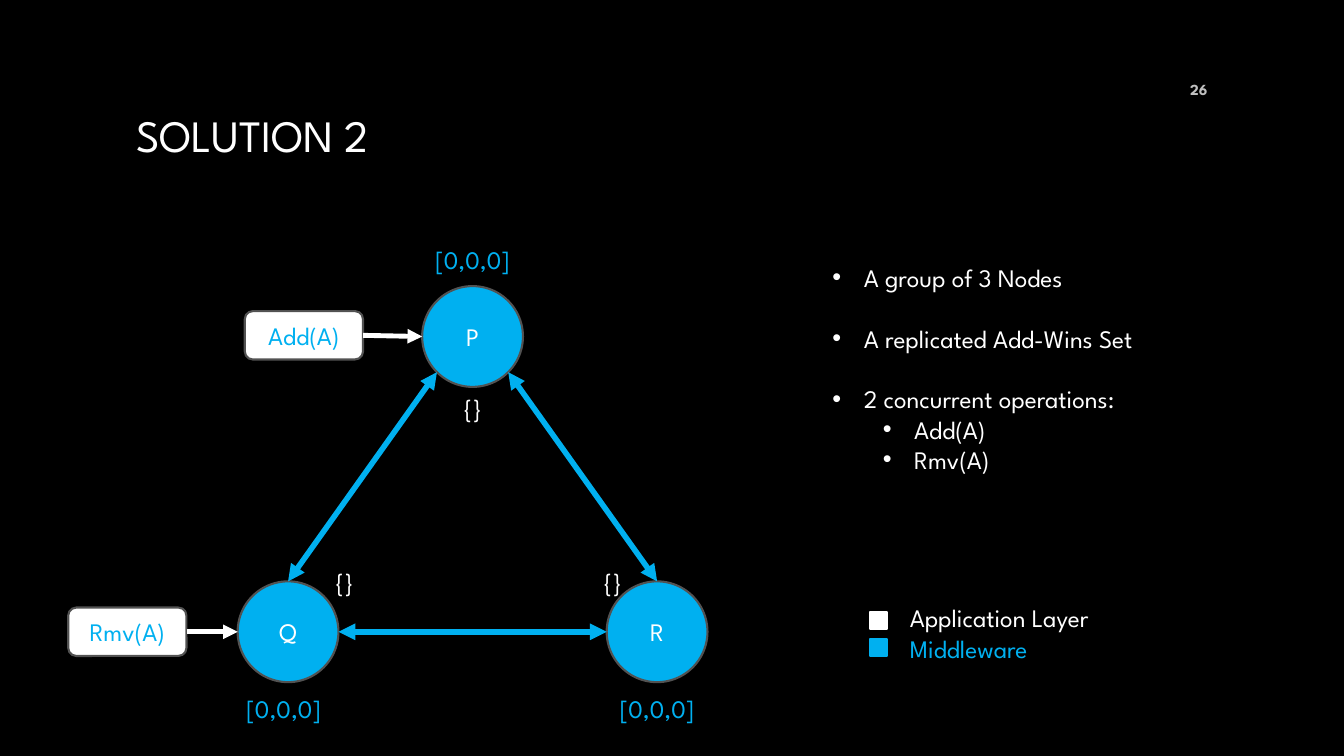
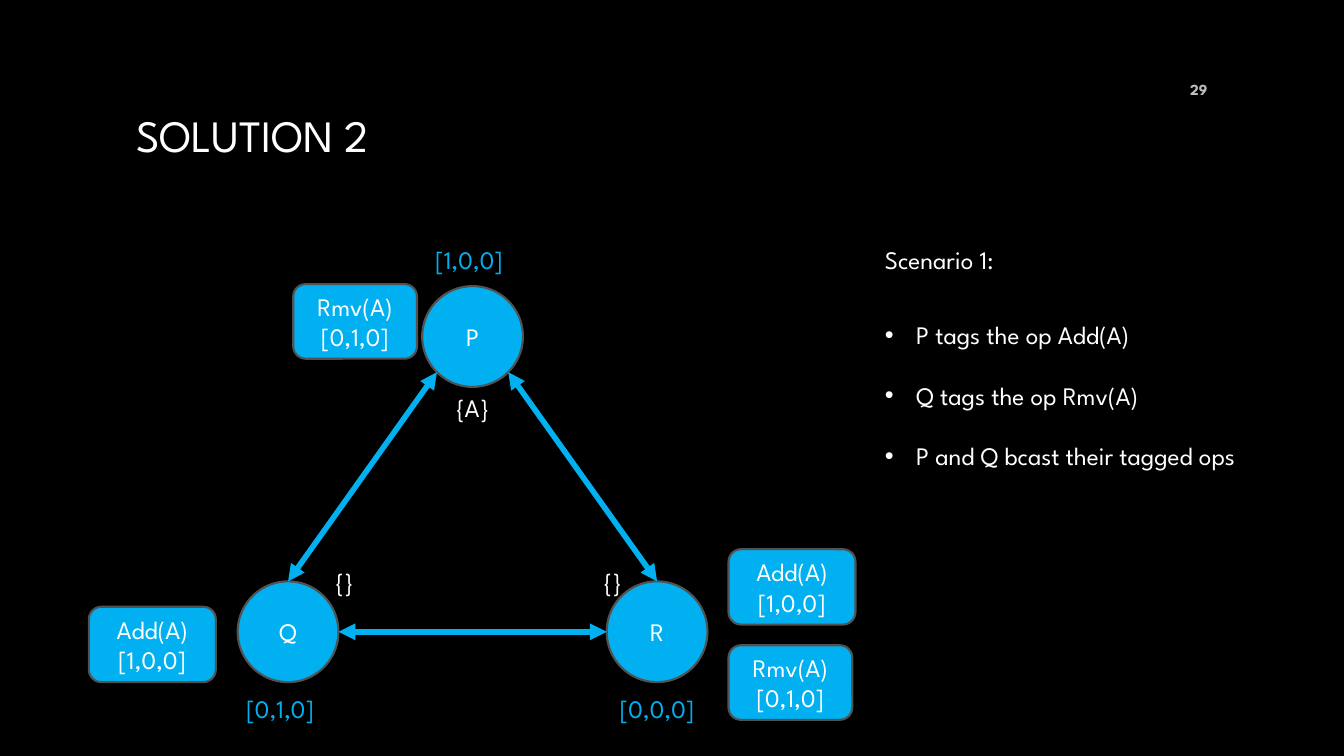
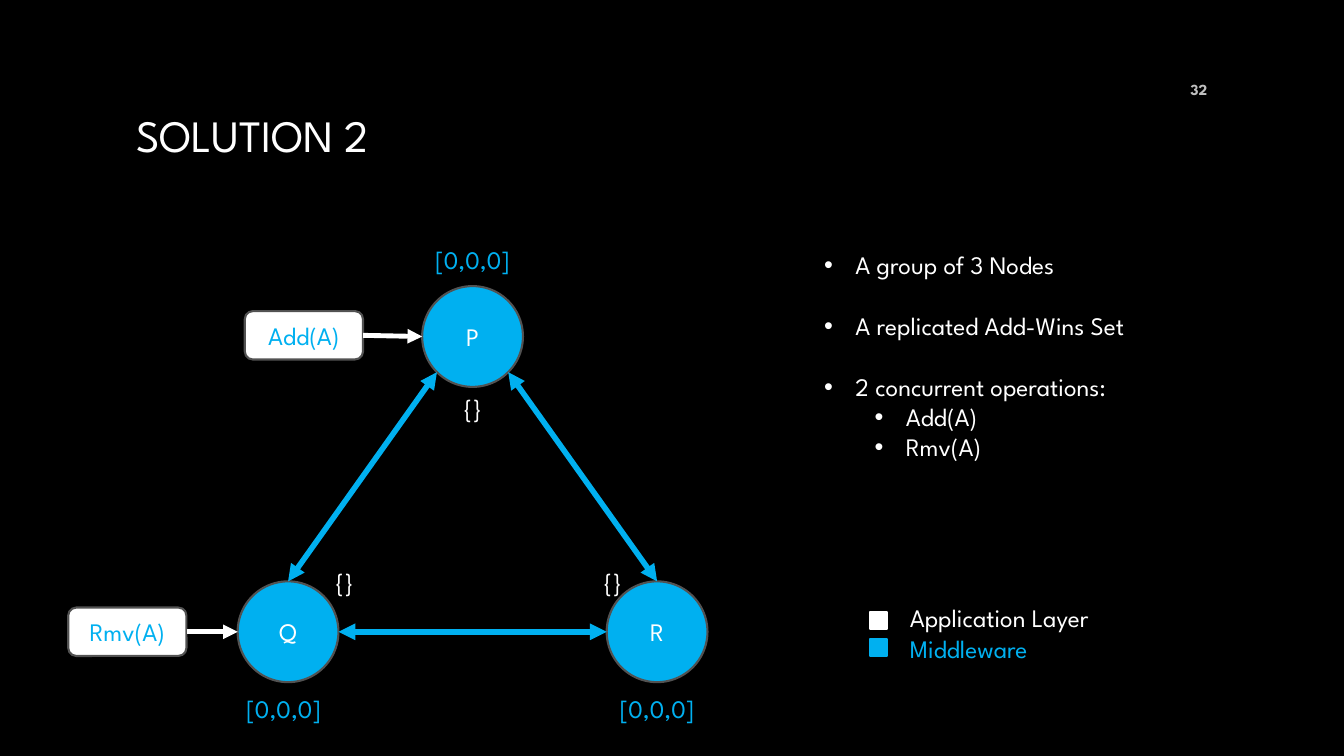
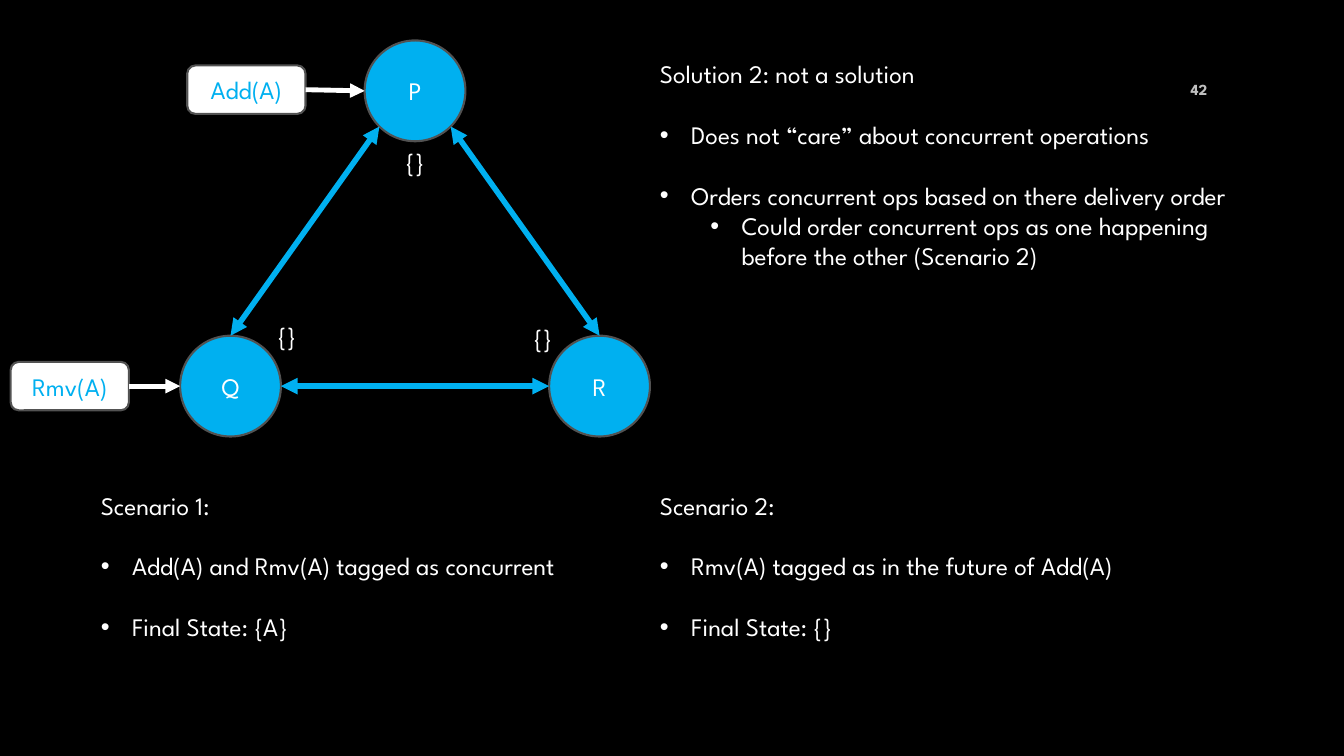
from dataclasses import dataclass, replace
from typing import Optional, Sequence

import lxml.etree
import pptx
import pptx.dml.color
import pptx.enum.shapes
import pptx.enum.text
import pptx.oxml.ns
import pptx.presentation
import pptx.shapes.autoshape
import pptx.shapes.connector
import pptx.slide
import pptx.text.text
import pptx.util

Cm = pptx.util.Cm
Pt = pptx.util.Pt
qn = pptx.oxml.ns.qn
Color = pptx.dml.color.RGBColor
Preset = pptx.enum.shapes.MSO_SHAPE
Align = pptx.enum.text.PP_ALIGN
Anchor = pptx.enum.text.MSO_ANCHOR
Slide = pptx.slide.Slide
Shape = pptx.shapes.autoshape.Shape


@dataclass(frozen=True)
class Theme:
    font: str = "League Spartan"
    bullet_font: str = "Arial"
    background: Color = Color(0x00, 0x00, 0x00)
    application: Color = Color(0xFF, 0xFF, 0xFF)
    middleware: Color = Color(0x00, 0xB0, 0xF0)
    outline: Color = Color(0x52, 0x52, 0x52)
    number: Color = Color(0xBF, 0xBF, 0xBF)
    title_size: float = 32
    body_size: float = 18
    number_size: float = 11
    paragraph_gap: float = 21.8
    outline_width: float = 1.5
    channel_width: float = 4
    call_width: float = 3.5


THEME = Theme()


@dataclass(frozen=True)
class Line:
    """A line of text: level 0 is plain, 1 a bullet, 2 a sub-bullet."""
    text: str
    level: int = 0
    color: Color = THEME.application


@dataclass(frozen=True)
class Panel:
    left: float
    top: float
    width: float
    lines: Sequence[Line]


@dataclass(frozen=True)
class Node:
    """A group member; dx, dy count from node P, label places from the node."""
    name: str
    dx: float
    dy: float
    clock_dx: float
    clock_dy: float
    state_center: float
    state_dy: float


@dataclass(frozen=True)
class Call:
    """An application call; dx, dy count from the node that receives it."""
    operation: str
    node: str
    dx: float
    dy: float


@dataclass(frozen=True)
class Message:
    operation: str
    clock: str
    left: float
    top: float
    width: float
    height: float


NODE_SIZE = 2.54
DIAGONAL = NODE_SIZE * (1 + math_half) / 2 if (math_half := 0.5 ** 0.5) else 0
CALL_WIDTH, CALL_HEIGHT = 2.98, 1.22
STATE_WIDTH = 1.45
LABEL_HEIGHT = 1.02
KEY_SIZE = 0.43

NODES = (
    Node("P", 0, 0, 0.08, -1.19, 1.27, 2.54),
    Node("Q", -4.65, 7.44, -0.03, 2.69, 2.69, -0.51),
    Node("R", 4.65, 7.44, 0.08, 2.69, 0.15, -0.51),
)
CALLS = (Call("Add(A)", "P", -4.47, 0.63), Call("Rmv(A)", "Q", -4.27, 0.66))
EMPTY_STATES = ("{}", "{}", "{}")
ZERO_CLOCKS = ("[0,0,0]", "[0,0,0]", "[0,0,0]")
MESSAGES = (
    Message("Add(A)", "[1,0,0]", 2.24, 15.29, 3.2, 1.9),
    Message("Rmv(A)", "[0,1,0]", 7.39, 7.16, 3.12, 1.88),
    Message("Rmv(A)", "[0,1,0]", 18.36, 16.26, 3.12, 1.88),
    Message("Add(A)", "[1,0,0]", 18.36, 13.84, 3.2, 1.9),
)
SETUP = (
    Line("A group of 3 Nodes", 1),
    Line("A replicated Add-Wins Set", 1),
    Line("2 concurrent operations:", 1),
    Line("Add(A)", 2),
    Line("Rmv(A)", 2),
)


def add_run(paragraph: pptx.text.text._Paragraph, text: str, color: Color,
            size: float = THEME.body_size, bold: bool = False) -> None:
    run = paragraph.add_run()
    run.text = text
    run.font.name = THEME.font
    run.font.size = Pt(size)
    run.font.bold = bold
    run.font.color.rgb = color


def add_bullet(paragraph: pptx.text.text._Paragraph, level: int) -> None:
    paragraph.level = level - 1
    properties = paragraph._p.get_or_add_pPr()
    properties.set("marL", str(Cm(0.79 + 1.27 * (level - 1))))
    properties.set("indent", str(Cm(-0.79)))
    lxml.etree.SubElement(properties, qn("a:buFont"), typeface=THEME.bullet_font)
    lxml.etree.SubElement(properties, qn("a:buChar"), char="•")


def write_lines(frame: pptx.text.text.TextFrame, lines: Sequence[Line],
                align: Align = Align.LEFT) -> None:
    for index, line in enumerate(lines):
        paragraph = frame.add_paragraph() if index else frame.paragraphs[0]
        paragraph.alignment = align
        if line.level:
            add_bullet(paragraph, line.level)
        if index and line.level == 1:
            paragraph.space_before = Pt(THEME.paragraph_gap)
        add_run(paragraph, line.text, line.color)


def add_panel(slide: Slide, panel: Panel) -> None:
    box = slide.shapes.add_textbox(
        Cm(panel.left), Cm(panel.top), Cm(panel.width), Cm(LABEL_HEIGHT))
    box.text_frame.word_wrap = True
    write_lines(box.text_frame, panel.lines)


def add_label(slide: Slide, left: float, top: float, width: float, text: str,
              color: Color, align: Align) -> None:
    box = slide.shapes.add_textbox(Cm(left), Cm(top), Cm(width), Cm(LABEL_HEIGHT))
    box.text_frame.word_wrap = False
    write_lines(box.text_frame, [Line(text, color=color)], align)


def add_block(slide: Slide, preset: Preset, left: float, top: float, width: float,
              height: float, fill: Color, outline: Color = THEME.outline,
              lines: Sequence[Line] = ()) -> Shape:
    block = slide.shapes.add_shape(preset, Cm(left), Cm(top), Cm(width), Cm(height))
    block.shadow.inherit = False
    block.fill.solid()
    block.fill.fore_color.rgb = fill
    block.line.color.rgb = outline
    block.line.width = Pt(THEME.outline_width)
    block.text_frame.vertical_anchor = Anchor.MIDDLE
    write_lines(block.text_frame, lines, Align.CENTER)
    return block


def add_arrow(slide: Slide, start: tuple[float, float], end: tuple[float, float],
              color: Color, width: float,
              both_ends: bool = False) -> pptx.shapes.connector.Connector:
    arrow = slide.shapes.add_connector(
        pptx.enum.shapes.MSO_CONNECTOR.STRAIGHT,
        Cm(start[0]), Cm(start[1]), Cm(end[0]), Cm(end[1]))
    arrow.line.color.rgb = color
    arrow.line.width = Pt(width)
    properties = arrow._element.spPr
    outline = properties.find(qn("a:ln"))
    for tag in ("a:headEnd", "a:tailEnd") if both_ends else ("a:tailEnd",):
        lxml.etree.SubElement(outline, qn(tag), type="triangle")
    lxml.etree.SubElement(properties, qn("a:effectLst"))
    return arrow


def add_group(slide: Slide, left: float, top: float, states: Sequence[str],
              clocks: Sequence[str] = (), calls: Sequence[Call] = (),
              nodes: Sequence[Node] = NODES) -> None:
    """Draw the three nodes, their channels, calls and labels; P is at left, top."""
    places = {node.name: (left + node.dx, top + node.dy) for node in nodes}
    circles = {
        name: add_block(slide, Preset.OVAL, x, y, NODE_SIZE, NODE_SIZE,
                        THEME.middleware, lines=[Line(name)])
        for name, (x, y) in places.items()
    }
    radius = NODE_SIZE / 2

    def add_channel(start: tuple[float, float],
                    end: tuple[float, float]) -> pptx.shapes.connector.Connector:
        return add_arrow(slide, start, end, THEME.middleware,
                         THEME.channel_width, both_ends=True)

    for name, reach in (("R", DIAGONAL), ("Q", NODE_SIZE - DIAGONAL)):
        x, y = places[name]
        channel = add_channel((left + reach, top + DIAGONAL), (x + radius, y))
        channel.end_connect(circles[name], 0)
    (q_left, q_top), (r_left, r_top) = places["Q"], places["R"]
    add_channel((q_left + NODE_SIZE, q_top + radius), (r_left, r_top + radius))

    for call in calls:
        x, y = places[call.node]
        request = add_block(
            slide, Preset.ROUNDED_RECTANGLE, x + call.dx, y + call.dy,
            CALL_WIDTH, CALL_HEIGHT, THEME.application,
            lines=[Line(call.operation, color=THEME.middleware)])
        arrow = add_arrow(
            slide, (x + call.dx + CALL_WIDTH, y + call.dy + CALL_HEIGHT / 2),
            (x, y + radius), THEME.application, THEME.call_width)
        arrow.begin_connect(request, 3)

    for node, state in zip(nodes, states):
        x, y = places[node.name]
        add_label(slide, x + node.state_center - STATE_WIDTH / 2, y + node.state_dy,
                  STATE_WIDTH, state, THEME.application, Align.CENTER)
    for node, clock in zip(nodes, clocks):
        x, y = places[node.name]
        add_label(slide, x + node.clock_dx, y + node.clock_dy, 2.39, clock,
                  THEME.middleware, Align.LEFT)


def add_legend(slide: Slide) -> None:
    layers = (Line("Application Layer"), Line("Middleware", color=THEME.middleware))
    add_panel(slide, Panel(22.68, 15.06, 6, layers))
    for index, layer in enumerate(layers):
        add_block(slide, Preset.RECTANGLE, 21.92, 15.42 + 0.69 * index,
                  KEY_SIZE, KEY_SIZE, layer.color, layer.color)


def add_heading(slide: Slide, left: float, top: float, width: float, height: float,
                text: str, color: Color, size: float, align: Align,
                bold: bool = False) -> None:
    box = slide.shapes.add_textbox(Cm(left), Cm(top), Cm(width), Cm(height))
    box.text_frame.word_wrap = True
    box.text_frame.vertical_anchor = Anchor.MIDDLE
    paragraph = box.text_frame.paragraphs[0]
    paragraph.alignment = align
    add_run(paragraph, text, color, size, bold)


def new_slide(deck: pptx.presentation.Presentation, number: int,
              title: Optional[str] = None) -> Slide:
    slide = deck.slides.add_slide(deck.slide_layouts[6])
    if title:
        add_heading(slide, 3.18, 1.7, 27.51, 3.38, title, THEME.application,
                    THEME.title_size, Align.LEFT)
    add_heading(slide, 29.16, 1.75, 1.52, 1.02, str(number), THEME.number,
                THEME.number_size, Align.RIGHT, bold=True)
    return slide


def add_setup_slide(deck: pptx.presentation.Presentation, number: int,
                    left: float, top: float) -> None:
    slide = new_slide(deck, number, "SOLUTION 2")
    add_group(slide, 10.64, 7.21, EMPTY_STATES, ZERO_CLOCKS, CALLS)
    add_panel(slide, Panel(left, top, 10.16, SETUP))
    add_legend(slide)


def add_broadcast_slide(deck: pptx.presentation.Presentation) -> None:
    slide = new_slide(deck, 29, "SOLUTION 2")
    add_group(slide, 10.64, 7.21, ("{A}", "{}", "{}"),
              ("[1,0,0]", "[0,1,0]", "[0,0,0]"))
    for message in MESSAGES:
        add_block(slide, Preset.ROUNDED_RECTANGLE, message.left, message.top,
                  message.width, message.height, THEME.middleware,
                  lines=[Line(message.operation), Line(message.clock)])
    add_panel(slide, Panel(22.05, 6.02, 5, [Line("Scenario 1:")]))
    add_panel(slide, Panel(22.05, 7.92, 11.18, [
        Line("P tags the op Add(A)", 1),
        Line("Q tags the op Rmv(A)", 1),
        Line("P and Q bcast their tagged ops", 1),
    ]))


def add_conclusion_slide(deck: pptx.presentation.Presentation) -> None:
    slide = new_slide(deck, 42)
    p, q, r = NODES
    shifted_r = replace(r, state_center=-0.16, state_dy=-0.46)
    add_group(slide, 9.19, 1.02, EMPTY_STATES, calls=CALLS, nodes=(p, q, shifted_r))
    for panel in (
        Panel(2.29, 12.22, 14.1, [
            Line("Scenario 1:"),
            Line("Add(A) and Rmv(A) tagged as concurrent", 1),
            Line("Final State: {A}", 1),
        ]),
        Panel(16.38, 12.22, 13.97, [
            Line("Scenario 2:"),
            Line("Rmv(A) tagged as in the future of Add(A)", 1),
            Line("Final State: {}", 1),
        ]),
        Panel(16.38, 1.35, 15.14, [
            Line("Solution 2: not a solution"),
            Line("Does not “care” about concurrent operations", 1),
            Line("Orders concurrent ops based on there delivery order", 1),
            Line("Could order concurrent ops as one happening before the other "
                 "(Scenario 2)", 2),
        ]),
    ):
        add_panel(slide, panel)


def main() -> None:
    deck = pptx.Presentation()
    deck.slide_width, deck.slide_height = Cm(33.87), Cm(19.05)
    background = deck.slide_master.background.fill
    background.solid()
    background.fore_color.rgb = THEME.background
    add_setup_slide(deck, 26, 20.73, 6.48)
    add_broadcast_slide(deck)
    add_setup_slide(deck, 32, 20.52, 6.17)
    add_conclusion_slide(deck)
    deck.save("out.pptx")


if __name__ == "__main__":
    main()
